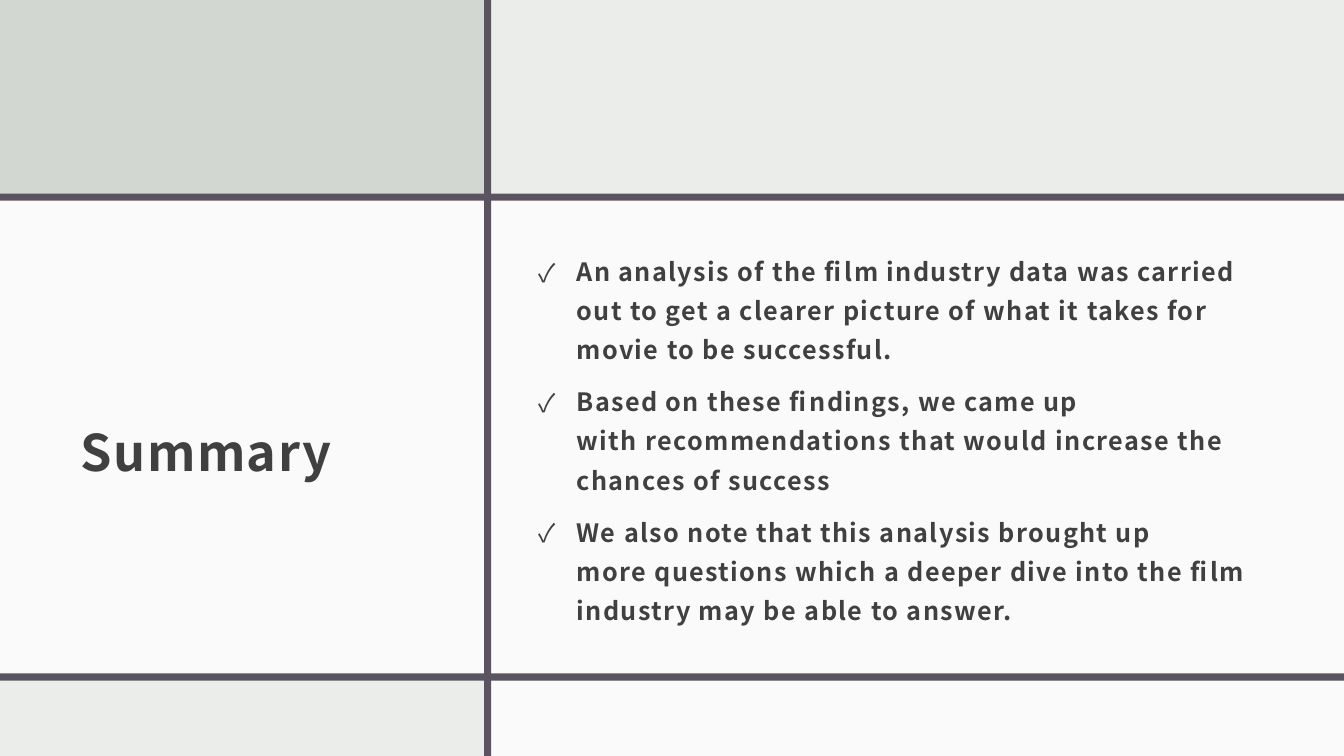
import pptx
import pptx.dml.color
import pptx.enum.shapes
import pptx.enum.text
import pptx.oxml.ns
import pptx.util
from lxml import etree

Cm, Pt = pptx.util.Cm, pptx.util.Pt
RGBColor = pptx.dml.color.RGBColor
qn = pptx.oxml.ns.qn

PALE = RGBColor(0xEB, 0xED, 0xEB)
SAGE = RGBColor(0xD2, 0xD7, 0xD2)
WHITE = RGBColor(0xFF, 0xFF, 0xFF)
PLUM = RGBColor(0x59, 0x54, 0x60)
INK = RGBColor(0x40, 0x40, 0x40)
FONT = "Noto Sans CJK JP"

# Grid, in centimetres
WIDE, HIGH = 33.87, 19.05
BAR = 0.18
LEFT = 12.2
TOP, LOW = 4.88, 16.97

HARD = chr(160)  # no-break space
POINTS = [
    "An analysis of the film industry data was carried out to get a clearer "
    "picture of what it takes for movie to be successful.",
    f"Based on these findings, we came up with{HARD}recommendations{HARD}that "
    f"would{HARD}increase the chances of{HARD}success",
    f"We also note that this analysis brought up more{HARD}questions which a "
    f"deeper dive into the film industry may be{HARD}able to answer.",
]


def panel(slide, box, color, alpha=100):
    shape = slide.shapes.add_shape(
        pptx.enum.shapes.MSO_SHAPE.RECTANGLE, *map(Cm, box))
    shape.shadow.inherit = False
    shape.line.fill.background()
    shape.fill.solid()
    shape.fill.fore_color.rgb = color
    if alpha < 100:
        tint = shape.fill._xPr.find(".//" + qn("a:srgbClr"))
        etree.SubElement(tint, qn("a:alpha")).set("val", str(alpha * 1000))


def write(slide, box, lines, size, pitch):
    """Place bold, spaced text centred in height; return its paragraphs."""
    frame = slide.shapes.add_textbox(*map(Cm, box)).text_frame
    frame.word_wrap = True
    frame.vertical_anchor = pptx.enum.text.MSO_ANCHOR.MIDDLE
    frame.margin_left = frame.margin_right = Cm(0.25)
    frame.margin_top = frame.margin_bottom = Cm(0.25)
    frame.text = "\n".join(lines)
    for para in frame.paragraphs:
        para.line_spacing = pitch
        font = para.font
        font.name, font.size, font.bold = FONT, Pt(size), True
        font.color.rgb = INK
        for run in para.runs:
            run._r.get_or_add_rPr().set("spc", "100")
    return frame.paragraphs


def grid(slide, box):
    x, y, w, h = box
    # Panels
    panel(slide, (x, y + TOP, w, LOW - TOP + BAR / 2), WHITE, 75)
    panel(slide, (x, y, LEFT + BAR / 2, TOP + BAR / 2), SAGE)
    panel(slide, (x + LEFT, y + LOW + BAR, w - LEFT, h - LOW - BAR), WHITE, 75)
    # Bars
    for drop in (TOP, LOW):
        panel(slide, (x, y + drop, w, BAR), PLUM)
    panel(slide, (x + LEFT, y, BAR, h), PLUM)


def title(slide, box):
    x, y, w, h = box
    write(slide, (x + 1.79, y + 1.06, w - 2.75, h - 1.98), ["Summary"], 36, 1.5)


def body(slide, box):
    x, y, w, h = box
    area = (x + 1.13, y + 1.06, w - 2.9, h - 1.98)
    for para in write(slide, area, POINTS, 18, 1.3):
        para.space_before = Pt(9)
        # Hanging tick
        props = para._p.get_or_add_pPr()
        props.set("marL", str(Cm(0.95)))
        props.set("indent", str(-Cm(0.95)))
        last = props.find(qn("a:defRPr"))
        for tag, key, value in (("a:buFont", "typeface", FONT),
                                ("a:buChar", "char", "✓")):
            part = etree.Element(qn(tag))
            part.set(key, value)
            last.addprevious(part)


def main():
    deck = pptx.Presentation()
    deck.slide_width, deck.slide_height = Cm(WIDE), Cm(HIGH)
    slide = deck.slides.add_slide(deck.slide_layouts[6])
    slide.background.fill.solid()
    slide.background.fill.fore_color.rgb = PALE
    grid(slide, (0, 0, WIDE, HIGH))
    title(slide, (0, TOP, LEFT, LOW - TOP))
    body(slide, (LEFT, TOP, WIDE - LEFT, LOW - TOP))
    deck.save("out.pptx")


if __name__ == "__main__":
    main()
